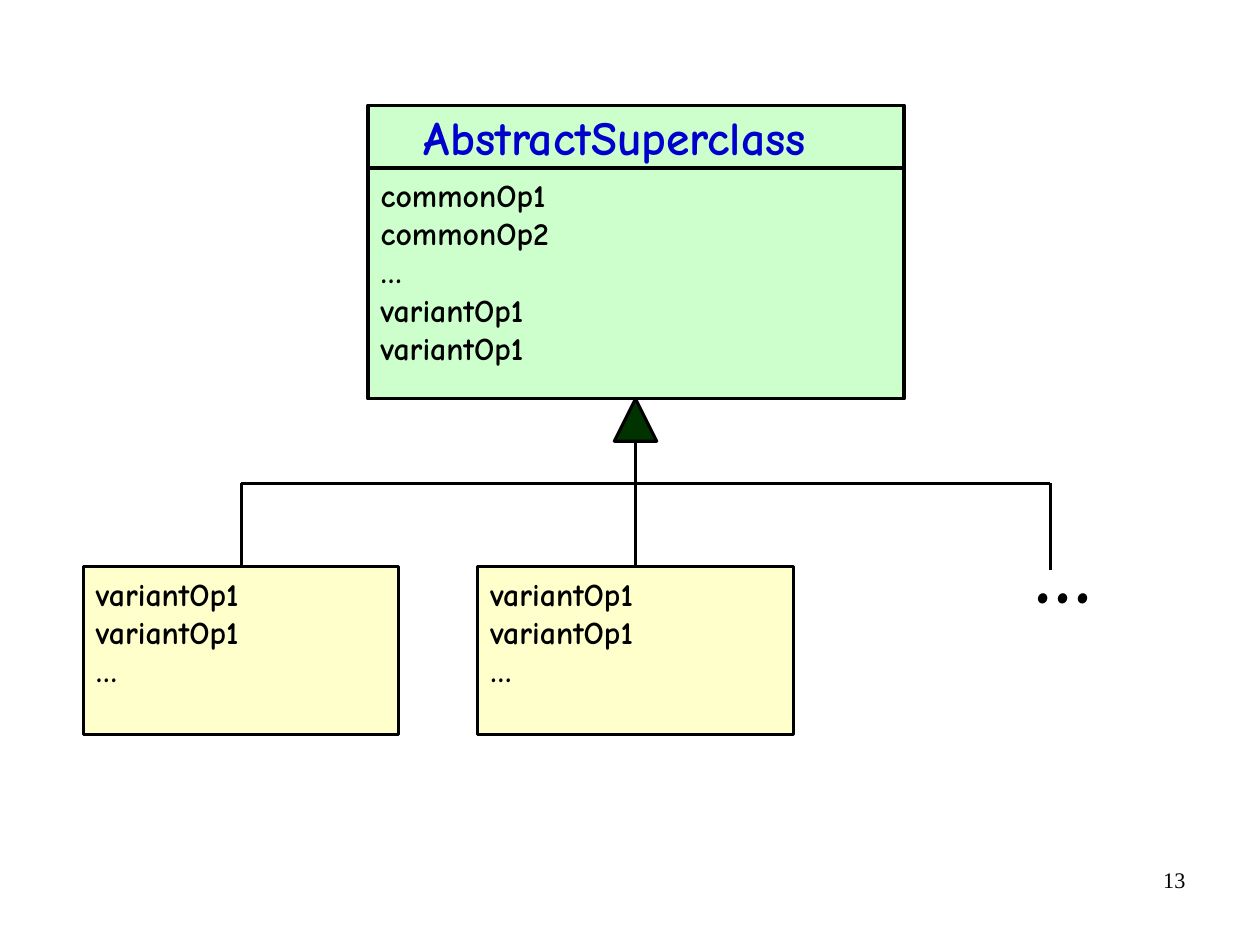
from dataclasses import dataclass

from lxml import etree
from pptx import Presentation
from pptx.dml.color import RGBColor
from pptx.enum.shapes import MSO_CONNECTOR, MSO_SHAPE
from pptx.enum.text import MSO_ANCHOR, PP_ALIGN
from pptx.oxml.ns import qn
from pptx.util import Inches, Pt

RECTANGLE = MSO_SHAPE.RECTANGLE
TRIANGLE = MSO_SHAPE.ISOSCELES_TRIANGLE
STRAIGHT = MSO_CONNECTOR.STRAIGHT
TOP = MSO_ANCHOR.TOP
LEFT, RIGHT = PP_ALIGN.LEFT, PP_ALIGN.RIGHT
CM_PER_INCH = 2.54


@dataclass(frozen=True)
class Theme:
    """Colours, fonts and sizes of the slide."""
    ink: str = "000000"
    paper: str = "FFFFFF"
    title: str = "0000CC"
    superclass: str = "CCFFCC"
    subclass: str = "FFFFCC"
    arrow: str = "003300"
    font: str = "Comic Neue"
    number_font: str = "Times New Roman"
    title_size: int = 30
    body_size: int = 20
    ellipsis_size: int = 54
    number_size: int = 14
    line_width: int = 2


THEME = Theme()


def write_text(shape, lines, size=THEME.body_size, color=THEME.ink, font=THEME.font,
               bold=True, align=LEFT, wrap=True, inset=(0.11, 0.06)):
    """Fill a shape with one paragraph per line, inset by (side, top) inches."""
    frame = shape.text_frame
    frame.word_wrap = wrap
    frame.vertical_anchor = TOP
    side, top = inset
    frame.margin_left = frame.margin_right = Inches(side)
    frame.margin_top, frame.margin_bottom = Inches(top), Inches(0.05)
    for index, line in enumerate(lines):
        para = frame.paragraphs[0] if index == 0 else frame.add_paragraph()
        para.alignment = align
        span = para.add_run()
        span.text = line
        span.font.name = font
        span.font.size = Pt(size)
        span.font.bold = bold
        span.font.color.rgb = RGBColor.from_string(color)


def add_box(page, box, fill, kind=RECTANGLE, outlined=True):
    """Draw a filled preset shape in the given box."""
    shape = page.shapes.add_shape(kind, *map(Inches, box))
    shape.shadow.inherit = False
    shape.fill.solid()
    shape.fill.fore_color.rgb = RGBColor.from_string(fill)
    if outlined:
        shape.line.color.rgb = RGBColor.from_string(THEME.ink)
        shape.line.width = Pt(THEME.line_width)
    else:
        shape.line.fill.background()
    return shape


def add_label(page, box, text, **style):
    """Place a one-line text box."""
    write_text(page.shapes.add_textbox(*map(Inches, box)), [text], **style)


def add_line(page, start, end):
    """Draw a straight line between two points."""
    line = page.shapes.add_connector(STRAIGHT, *map(Inches, (*start, *end)))
    line.line.color.rgb = RGBColor.from_string(THEME.ink)
    line.line.width = Pt(THEME.line_width)
    etree.SubElement(line._element.spPr, qn("a:effectLst"))


def draw_superclass(page, box, name, operations):
    """Draw the class box with its name above a divider and its operations below."""
    left, top, width, height = box
    divider = top + 0.55
    body = add_box(page, box, THEME.superclass)
    write_text(body, operations, inset=(0.11, 0.62))
    add_line(page, (left, divider), (left + width, divider))
    add_label(page, (left + 0.38, top - 0.04, 4.14, 0.61), name,
              size=THEME.title_size, color=THEME.title)


def draw_subclass(page, box, operations):
    """Draw a subclass box with its operations."""
    write_text(add_box(page, box, THEME.subclass), operations, inset=(0.11, 0.07))


def draw_more(page, box):
    """Draw the large ellipsis that stands for further subclasses."""
    shape = add_box(page, box, THEME.paper, outlined=False)
    write_text(shape, ["…"], size=THEME.ellipsis_size, wrap=False)


def draw_inheritance(page, box, stem, drops):
    """Draw the arrow, stem and bus in a box, with a drop to each (x, bottom) pair."""
    left, top, width, height = box
    bus = top + height
    add_line(page, (stem, top), (stem, bus))
    add_line(page, (left, bus), (left + width, bus))
    for x, bottom in drops:
        add_line(page, (x, bus), (x, bottom))
    side = 0.37
    add_box(page, (stem - side / 2, top, side, side), THEME.arrow, kind=TRIANGLE)


def main():
    """Build and save the class diagram slide."""
    deck = Presentation()
    deck.slide_width = Inches(28 / CM_PER_INCH)
    deck.slide_height = Inches(21 / CM_PER_INCH)
    page = deck.slides.add_slide(deck.slide_layouts[6])
    add_label(page, (7.9, 7.53, 2.57, 0.57), "13", size=THEME.number_size,
              font=THEME.number_font, bold=False, align=RIGHT, inset=(0.1, 0.05))
    draw_more(page, (8.94, 4.47, 0.73, 1.01))
    draw_superclass(page, (3.22, 0.92, 4.69, 2.57), "AbstractSuperclass",
                    ["commonOp1", "commonOp2", "…", "variantOp1", "variantOp1"])
    subclass_top, subclass_width = 4.96, 2.76
    subclass_lefts = (0.73, 4.18)
    for left in subclass_lefts:
        draw_subclass(page, (left, subclass_top, subclass_width, 1.47),
                      ["variantOp1", "variantOp1", "…"])
    first, second = (left + subclass_width / 2 for left in subclass_lefts)
    last = 9.19
    draw_inheritance(page, (first, 3.49, last - first, 0.74), second,
                     [(first, subclass_top), (second, subclass_top), (last, 4.99)])
    deck.save("out.pptx")


if __name__ == "__main__":
    main()
